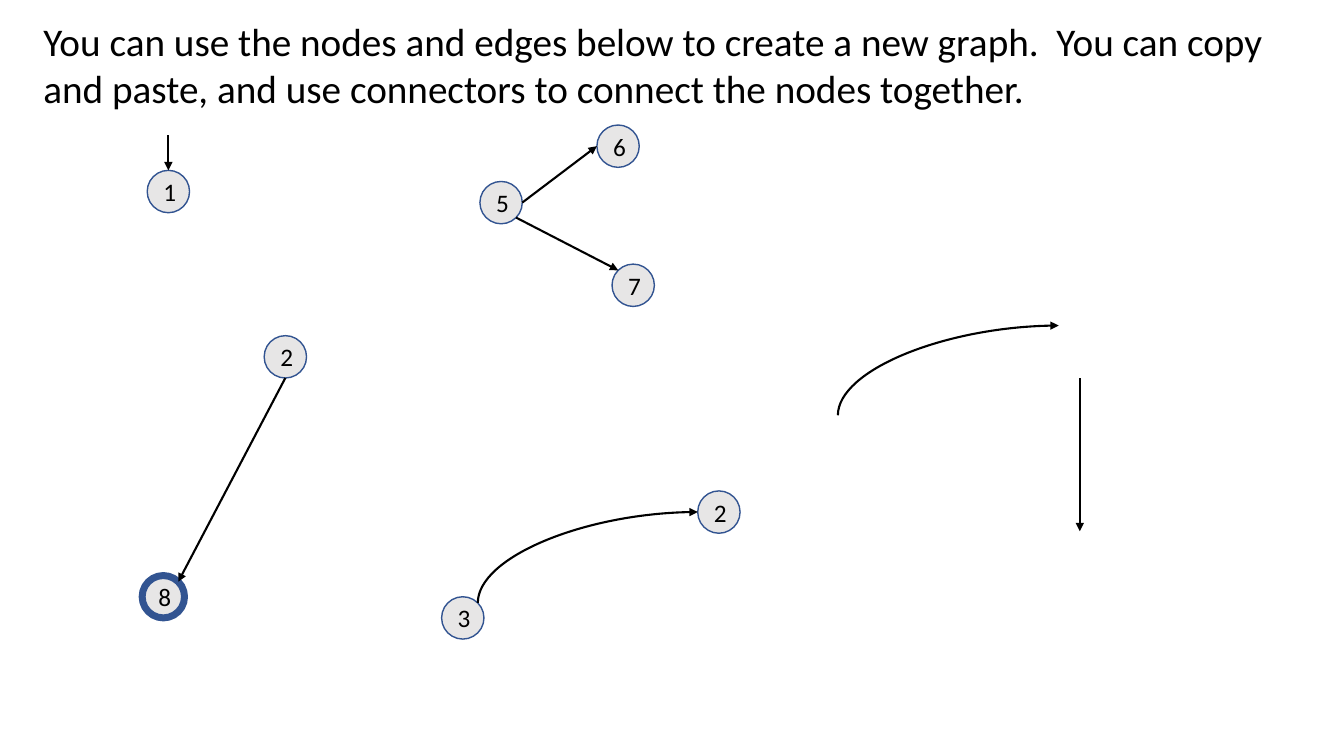
import math
import pptx
import pptx.util
import pptx.dml.color
import pptx.enum.shapes
import pptx.enum.text
import pptx.oxml
import pptx.oxml.ns

Inches = pptx.util.Inches
ALIGN = pptx.enum.text.PP_ALIGN
ANCHOR = pptx.enum.text.MSO_ANCHOR
CONNECTOR = pptx.enum.shapes.MSO_CONNECTOR

COLORS = {"node": "E7E6E6", "outline": "325491", "ink": "000000"}
DIAMETER = 0.42
ANGLES = {"right": 0, "bottom right": 45, "bottom": 90, "left": 180,
          "top left": 225, "top": 270, "top right": 315}


def color(name):
    return pptx.dml.color.RGBColor.from_string(COLORS[name])


def write(frame, text, size=18, align=ALIGN.CENTER, anchor=ANCHOR.MIDDLE, font="Calibri"):
    frame.word_wrap = True
    frame.auto_size = pptx.enum.text.MSO_AUTO_SIZE.NONE
    frame.vertical_anchor = anchor
    paragraph = frame.paragraphs[0]
    paragraph.alignment = align
    run = paragraph.add_run()
    run.text = text
    run.font.size = pptx.util.Pt(size)
    run.font.name = font
    run.font.color.rgb = color("ink")


def site(center, side):
    angle = math.radians(ANGLES[side])
    return (center[0] + DIAMETER / 2 * math.cos(angle),
            center[1] + DIAMETER / 2 * math.sin(angle))


class GraphSlide:
    edge_width = 1.5

    def __init__(self, deck):
        self.slide = deck.slides.add_slide(deck.slide_layouts[5])

    def title(self, text, left, top, width, height):
        heading = self.slide.shapes.title
        heading.left, heading.top = Inches(left), Inches(top)
        heading.width, heading.height = Inches(width), Inches(height)
        write(heading.text_frame, text, size=28, align=ALIGN.LEFT, anchor=ANCHOR.TOP)

    def node(self, label, x, y, border=1):
        circle = self.slide.shapes.add_shape(
            pptx.enum.shapes.MSO_SHAPE.OVAL,
            Inches(x - DIAMETER / 2), Inches(y - DIAMETER / 2),
            Inches(DIAMETER), Inches(DIAMETER))
        circle.shadow.inherit = False
        circle.fill.solid()
        circle.fill.fore_color.rgb = color("node")
        circle.line.color.rgb = color("outline")
        circle.line.width = pptx.util.Pt(border)
        write(circle.text_frame, label)
        return x, y

    def edge(self, start, end, kind=CONNECTOR.STRAIGHT):
        arrow = self.slide.shapes.add_connector(
            kind, *(Inches(value) for value in (*start, *end)))
        arrow.line.color.rgb = color("ink")
        arrow.line.width = pptx.util.Pt(self.edge_width)
        head = pptx.oxml.parse_xml(
            '<a:tailEnd %s type="triangle"/>' % pptx.oxml.ns.nsdecls("a"))
        arrow.line._get_or_add_ln().append(head)
        arrow._element.spPr.append(pptx.oxml.parse_xml(
            "<a:effectLst %s/>" % pptx.oxml.ns.nsdecls("a")))
        return arrow

    def curve(self, start, end):
        middle_x, middle_y = (start[0] + end[0]) / 2, (start[1] + end[1]) / 2
        half_run, half_rise = (end[0] - start[0]) / 2, (start[1] - end[1]) / 2
        arc = self.edge((middle_x + half_rise, middle_y + half_run),
                        (middle_x - half_rise, middle_y - half_run), CONNECTOR.CURVE)
        properties = arc._element.spPr
        properties.find(pptx.oxml.ns.qn("a:xfrm")).set("rot", "5400000")
        properties.find(pptx.oxml.ns.qn("a:prstGeom")).set("prst", "curvedConnector2")


deck = pptx.Presentation()
deck.slide_width, deck.slide_height = Inches(13.33), Inches(7.5)
graph = GraphSlide(deck)

graph.title("You can use the nodes and edges below to create a new graph.  You can copy "
            "and paste, and use connectors to connect the nodes together.",
            0.33, 0.12, 12.6, 1.04)

start_node = graph.node("1", 1.67, 1.9)
upper_two = graph.node("2", 2.83, 3.54)
accept_node = graph.node("8", 1.62, 5.92, border=5)
five = graph.node("5", 4.97, 2.01)
six = graph.node("6", 6.13, 1.45)
seven = graph.node("7", 6.28, 2.83)
three = graph.node("3", 4.59, 6.13)
lower_two = graph.node("2", 7.13, 5.08)

graph.edge((1.67, 1.34), site(start_node, "top"))
graph.edge(site(five, "right"), site(six, "left"))
graph.edge(site(upper_two, "bottom"), site(accept_node, "top right"))
graph.edge(site(five, "bottom right"), site(seven, "top left"))
graph.curve(site(three, "top right"), site(lower_two, "left"))
graph.curve((8.31, 4.12), (10.5, 3.23))
graph.edge((10.71, 3.75), (10.71, 5.27))

deck.save("out.pptx")
